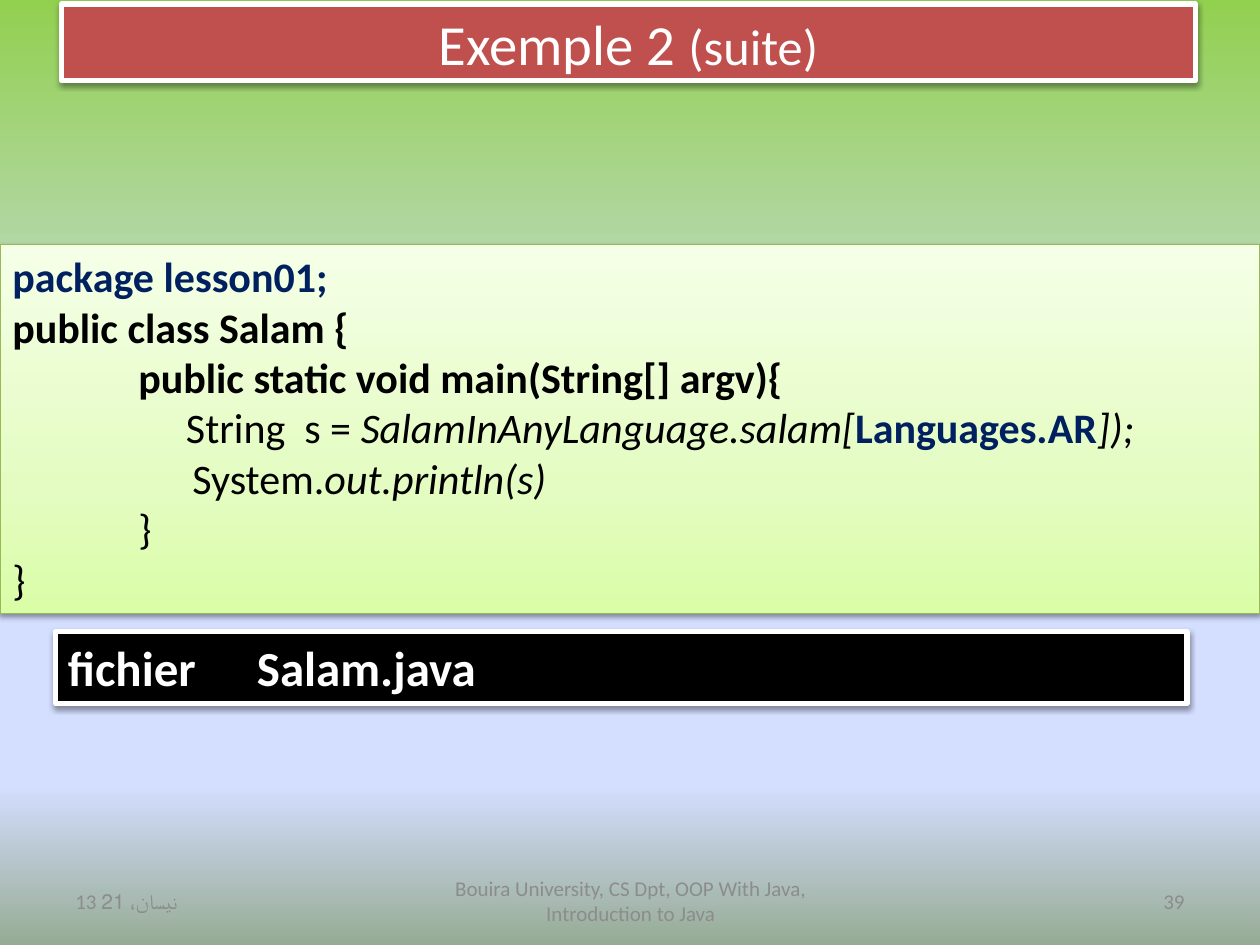
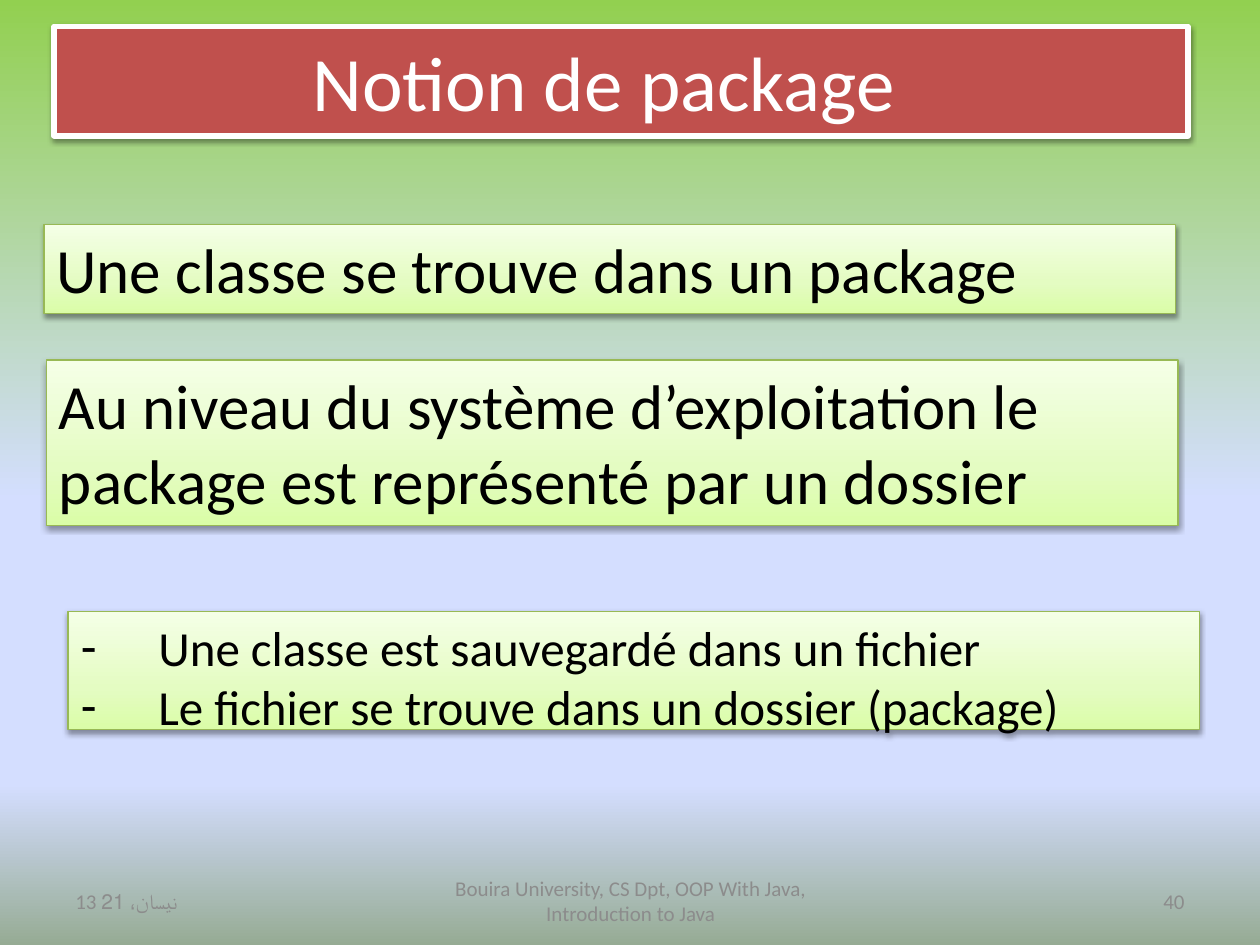
from dataclasses import dataclass

from lxml import etree
from pptx import Presentation
from pptx.dml.color import RGBColor
from pptx.enum.shapes import MSO_SHAPE
from pptx.enum.text import MSO_ANCHOR, MSO_AUTO_SIZE, PP_ALIGN
from pptx.oxml.ns import qn
from pptx.util import Cm, Pt

RECTANGLE = MSO_SHAPE.RECTANGLE
TOP, MIDDLE = MSO_ANCHOR.TOP, MSO_ANCHOR.MIDDLE
LEFT, CENTER, RIGHT = PP_ALIGN.LEFT, PP_ALIGN.CENTER, PP_ALIGN.RIGHT
FIXED, GROW = MSO_AUTO_SIZE.NONE, MSO_AUTO_SIZE.SHAPE_TO_FIT_TEXT

FONT = "Calibri"
WHITE, BLACK, NAVY, GREY = "FFFFFF", "000000", "002060", "8C8C8C"
RED, LIME_EDGE = "C0504D", "98B955"
SKY = [(0, "92D050"), (53, "D4DEFF"), (83, "D4DEFF"), (100, "96AB94")]
LIME = [(0, "DAFDA7"), (35, "E4FCC2"), (100, "F5FFE7")]
DOWNWARD, UPWARD = 270, 90
BOX_WIDTH = 22.81
FOOTER_TOP, FOOTER_HEIGHT = 17.65, 1.02
FOOTER = "Bouira University, CS Dpt, OOP With Java, Introduction to Java"
DATE = "13 نيسان، 21"


@dataclass
class Frame:
    left: float
    top: float
    width: float
    height: float

    def lengths(self) -> list:
        return [Cm(value) for value in (self.left, self.top, self.width, self.height)]


@dataclass
class Span:
    text: str
    size: float
    color: str = BLACK
    bold: bool = False
    italic: bool = False


@dataclass
class Line:
    spans: list[Span]
    margin: float = 0
    bullet: str = ""
    tab: float = 0


def rgb(color: str) -> RGBColor:
    return RGBColor.from_string(color)


def add_element(parent, tag: str, **attributes):
    values = {name: str(value) for name, value in attributes.items()}
    return etree.SubElement(parent, qn(tag), values)


def paint_gradient(fill, owner, stops: list, angle: int) -> None:
    fill.gradient()
    fill.gradient_angle = angle
    stop_list = next(owner.iter(qn("a:gsLst")))
    for stop in list(stop_list):
        stop_list.remove(stop)
    for position, color in stops:
        stop = add_element(stop_list, "a:gs", pos=position * 1000)
        add_element(stop, "a:srgbClr", val=color)


def style_box(box, fill: str | list, edge: str, weight: float) -> None:
    if isinstance(fill, str):
        box.fill.solid()
        box.fill.fore_color.rgb = rgb(fill)
    else:
        paint_gradient(box.fill, box.element, fill, UPWARD)
    box.line.color.rgb = rgb(edge)
    box.line.width = Pt(weight)
    box.shadow.inherit = False
    effects = next(box.element.iter(qn("a:effectLst")))
    shadow = add_element(effects, "a:outerShdw", blurRad=Pt(3.1), dist=Pt(1.6),
                         dir=5400000, rotWithShape=0)
    color = add_element(shadow, "a:srgbClr", val=BLACK)
    add_element(color, "a:alpha", val=38000)


def write(box, lines: list[Line], align=LEFT, anchor=TOP, sizing=FIXED) -> None:
    frame = box.text_frame
    frame.word_wrap = True
    frame.auto_size = sizing
    frame.vertical_anchor = anchor
    for index, line in enumerate(lines):
        para = frame.add_paragraph() if index else frame.paragraphs[0]
        para.alignment = align
        para.space_before = Pt(0)
        properties = para._p.get_or_add_pPr()
        properties.set("marL", str(Cm(line.margin)))
        properties.set("indent", str(-Cm(line.margin) if line.bullet else 0))
        if line.bullet:
            add_element(properties, "a:buChar", char=line.bullet)
        if line.tab:
            tabs = add_element(properties, "a:tabLst")
            add_element(tabs, "a:tab", pos=Cm(line.tab), algn="l")
        for span in line.spans:
            run = para.add_run()
            run.text = span.text
            run.font.name = FONT
            run.font.size = Pt(span.size)
            run.font.bold = span.bold
            run.font.italic = span.italic
            run.font.color.rgb = rgb(span.color)


def place(box, frame: Frame) -> None:
    box.left, box.top, box.width, box.height = frame.lengths()


def add_box(page, frame: Frame, lines: list[Line], fill=LIME, edge=LIME_EDGE,
            weight=0.75) -> None:
    box = page.shapes.add_shape(RECTANGLE, *frame.lengths())
    style_box(box, fill, edge, weight)
    write(box, lines, sizing=GROW)


def add_page(deck, layout: int, number: int, title_frame: Frame, title: list[Span]):
    page = deck.slides.add_slide(deck.slide_layouts[layout])
    paint_gradient(page.background.fill, page.element, SKY, DOWNWARD)
    heading = page.shapes.title
    place(heading, title_frame)
    style_box(heading, RED, WHITE, 3)
    write(heading, [Line(title)], CENTER, MIDDLE)
    for left, width, text, align in (
        (1.27, 5.92, DATE, LEFT),
        (8.69, 8.05, FOOTER, CENTER),
        (18.21, 5.92, str(number), RIGHT),
    ):
        frame = Frame(left, FOOTER_TOP, width, FOOTER_HEIGHT)
        box = page.shapes.add_textbox(*frame.lengths())
        write(box, [Line([Span(text, 12, GREY)])], align, MIDDLE)
    return page


def code(text: str, color: str = BLACK, bold: bool = False, italic: bool = False) -> Span:
    return Span(text, 24, color, bold, italic)


def build_example(deck) -> None:
    page = add_page(deck, 5, 39, Frame(1.24, 0.08, 22.86, 1.55),
                    [Span("Exemple 2 ", 32.4, WHITE), Span("(suite)", 28.8, WHITE)])
    file_name = Line([Span("fichier\tSalam.java", 28, WHITE, bold=True)], tab=3.27)
    add_box(page, Frame(1.12, 12.73, BOX_WIDTH, 1.45), [file_name], BLACK, WHITE, 3)
    add_box(page, Frame(0, 4.93, 25.4, 7.44), [
        Line([code("package lesson01;", NAVY, bold=True)]),
        Line([code("public class Salam {", bold=True)]),
        Line([code("public static void main(String[] argv){", bold=True)], 2.54),
        Line([code("String  s = "),
              code("SalamInAnyLanguage.salam[", italic=True),
              code("Languages.AR", NAVY, bold=True),
              code("]);", italic=True)], 3.5),
        Line([code("System."), code("out.println(s)", italic=True)], 3.63),
        Line([code("}")], 2.54),
        Line([code("}")]),
    ])


def build_package(deck) -> None:
    page = add_page(deck, 1, 40, Frame(1.09, 0.53, 22.86, 2.21),
                    [Span("Notion de package", 44, WHITE)])
    page.shapes.title.text_frame.margin_right = Cm(0.95)
    for frame, text in (
        (Frame(0.89, 4.52, BOX_WIDTH, 1.8), "Une classe se trouve dans un package"),
        (Frame(0.94, 7.26, BOX_WIDTH, 3.33),
         "Au niveau du système d’exploitation le package est représenté par un dossier"),
    ):
        add_box(page, frame, [Line([Span(text, 36)])])
    body = page.placeholders[1]
    place(body, Frame(1.37, 12.32, BOX_WIDTH, 2.64))
    style_box(body, LIME, LIME_EDGE, 0.75)
    items = ("Une classe est sauvegardé dans un fichier",
             "Le fichier se trouve dans un dossier (package)")
    write(body, [Line([Span(item, 28)], 1.57, "-") for item in items], sizing=GROW)


def main() -> None:
    deck = Presentation()
    deck.slide_width, deck.slide_height = Cm(25.4), Cm(19.05)
    build_example(deck)
    build_package(deck)
    deck.save("out.pptx")


main()
